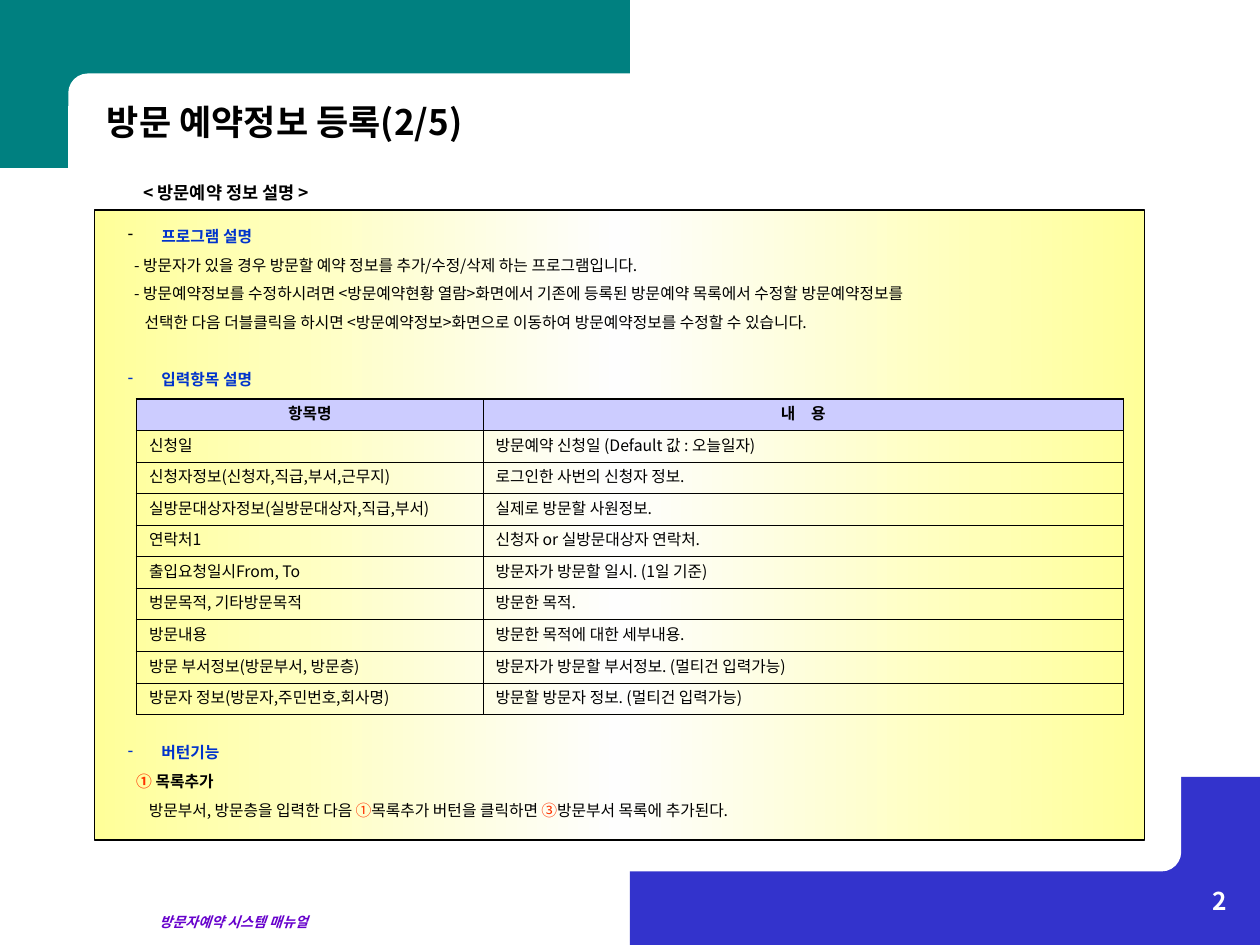
import copy
import pptx
import pptx.dml.color
import pptx.enum.shapes
import pptx.enum.text
import pptx.oxml
import pptx.oxml.ns
import pptx.util

COLOURS = {
    "teal": "008080", "indigo": "3333CC", "white": "FFFFFF", "black": "000000",
    "yellow": "FFFF99", "pale": "FEFEFE", "lavender": "CCCCFF",
    "blue": "0033CC", "red": "FF3300", "purple": "6600CC",
}
FONT = "Noto Sans CJK KR"
UNIT = pptx.util.Inches(1) / 12  # the slide is a grid of 120 columns by 90 rows
COLUMNS, ROWS = 120, 90
BODY_SIZE, LINE_FACTOR, SPACE_BEFORE = 9, 1.2, 5.6
LINE_ROWS = (BODY_SIZE * LINE_FACTOR + SPACE_BEFORE) / 6  # a grid row is 6 points
SHAPES = pptx.enum.shapes.MSO_SHAPE
ALIGN = pptx.enum.text.PP_ALIGN

# Each section: first text line, heading, bullet colour, then (indent, parts, bold);
# a part is a text and its colour.
SECTIONS = [
    (0, "프로그램 설명", "black", [
        (0.6, [("- 방문자가 있을 경우 방문할 예약 정보를 추가/수정/삭제 하는 프로그램입니다.", "black")], False),
        (0.6, [("- 방문예약정보를 수정하시려면 <방문예약현황 열람>화면에서 기존에 등록된 "
                "방문예약 목록에서 수정할 방문예약정보를", "black")], False),
        (1.6, [("선택한 다음 더블클릭을 하시면 <방문예약정보>화면으로 이동하여 "
                "방문예약정보를 수정할 수 있습니다.", "black")], False),
    ]),
    (5, "입력항목 설명", "blue", []),
    (18, "버턴기능", "blue", [
        (0.8, [("①", "red"), (" 목록추가", "black")], True),
        (2, [("방문부서, 방문층을 입력한 다음 ", "black"), ("①", "red"),
             ("목록추가 버턴을 클릭하면 ", "black"), ("③", "red"),
             ("방문부서 목록에 추가된다.", "black")], False),
    ]),
]
FIELDS = [
    ("항목명", "내　용"),
    ("신청일", "방문예약 신청일 (Default 값 : 오늘일자)"),
    ("신청자정보(신청자,직급,부서,근무지)", "로그인한 사번의 신청자 정보."),
    ("실방문대상자정보(실방문대상자,직급,부서)", "실제로 방문할 사원정보."),
    ("연락처1", "신청자 or 실방문대상자 연락처."),
    ("출입요청일시From, To", "방문자가 방문할 일시. (1일 기준)"),
    ("벙문목적, 기타방문목적", "방문한 목적."),
    ("방문내용", "방문한 목적에 대한 세부내용."),
    ("방문 부서정보(방문부서, 방문층)", "방문자가 방문할 부서정보. (멀티건 입력가능)"),
    ("방문자 정보(방문자,주민번호,회사명)", "방문할 방문자 정보. (멀티건 입력가능)"),
]


def grid(value):
    return pptx.util.Emu(round(value * UNIT))


def place(box):
    return [grid(value) for value in box]


def colour(name):
    return pptx.dml.color.RGBColor.from_string(COLOURS[name])


def add_element(parent, tag, **attributes):
    element = pptx.oxml.parse_xml(f"<a:{tag} {pptx.oxml.ns.nsdecls('a')}/>")
    for name, value in attributes.items():
        element.set(name, value)
    parent.append(element)
    return element


def style(paragraph, size, colour_name, bold=False, italic=False):
    font = paragraph.font
    font.size, font.bold, font.italic = pptx.util.Pt(size), bold, italic
    font.color.rgb = colour(colour_name)
    font.name = FONT
    add_element(font._element, "ea", typeface=FONT)
    paragraph.line_spacing = pptx.util.Pt(size * LINE_FACTOR)


def add_block(slide, box, colour_name, kind=SHAPES.RECTANGLE):
    shape = slide.shapes.add_shape(kind, *place(box))
    shape.shadow.inherit = False
    shape.fill.solid()
    shape.fill.fore_color.rgb = colour(colour_name)
    shape.line.fill.background()
    return shape


def add_text_frame(slide, box, wrap=True):
    frame = slide.shapes.add_textbox(*place(box)).text_frame
    frame.word_wrap = wrap
    return frame


def add_label(slide, box, text, size, colour_name, italic=False, align=None, wrap=True):
    paragraph = add_text_frame(slide, box, wrap).paragraphs[0]
    paragraph.text = text
    paragraph.alignment = align
    style(paragraph, size, colour_name, bold=True, italic=italic)


def add_frame(slide, box):
    """Two coloured corners, each cut by a white rounded block."""
    left, top, width, height = box
    half, band = width / 2, 16
    add_block(slide, (left + half, top + height - band, half, band), "indigo")
    add_block(slide, (left, top, half, band), "teal")
    for cut in ((left + 6.5, top + 7, 56.5, 11), (left + half - 3, top + height - 18, 55.5, 11)):
        add_block(slide, cut, "white", SHAPES.ROUNDED_RECTANGLE).adjustments[0] = 0.17


def add_section(slide, box, heading, bullet_colour, lines):
    frame = add_text_frame(slide, box)
    paragraph = frame.paragraphs[0]
    paragraph.text = heading
    style(paragraph, BODY_SIZE, "blue", bold=True)
    properties = paragraph._p.get_or_add_pPr()
    hang = grid(3.2)
    properties.set("marL", str(hang))
    properties.set("indent", str(-hang))
    default_font = paragraph.font._element
    bullet = add_element(properties, "buClr")
    add_element(bullet, "srgbClr", val=COLOURS[bullet_colour])
    add_element(properties, "buChar", char="-")
    properties.append(default_font)  # the schema puts bullets before the font
    for indent, parts, bold in lines:
        paragraph = frame.add_paragraph()
        paragraph.space_before = pptx.util.Pt(SPACE_BEFORE)
        style(paragraph, BODY_SIZE, "black", bold)
        paragraph._p.get_or_add_pPr().set("marL", str(grid(indent)))
        for text, colour_name in parts:
            run = paragraph.add_run()
            run.text = text
            if colour_name != "black":
                run.font.color.rgb = colour(colour_name)


def set_borders(cell, outer_sides):
    properties = cell._tc.get_or_add_tcPr()
    for index, side in enumerate(("lnL", "lnR", "lnT", "lnB")):
        width = pptx.util.Pt(1.08 if side in outer_sides else 0.45)
        line = add_element(properties, side, w=str(width))
        add_element(add_element(line, "solidFill"), "srgbClr", val=COLOURS["black"])
        properties.insert(index, line)  # borders come before the fill


def add_field_table(slide, box):
    last = len(FIELDS) - 1
    table = slide.shapes.add_table(len(FIELDS), 2, *place(box)).table
    table.first_row = table.horz_banding = False
    table.columns[0].width, table.columns[1].width = grid(33), grid(box[2] - 33)
    for row, texts in enumerate(FIELDS):
        table.rows[row].height = grid(box[3] / len(FIELDS))
        for column, text in enumerate(texts):
            cell = table.cell(row, column)
            cell.vertical_anchor = pptx.enum.text.MSO_ANCHOR.MIDDLE
            paragraph = cell.text_frame.paragraphs[0]
            paragraph.text = text
            style(paragraph, BODY_SIZE, "black", bold=row == 0)
            if row == 0:
                paragraph.alignment = ALIGN.CENTER
                cell.fill.solid()
                cell.fill.fore_color.rgb = colour("lavender")
            else:
                cell.fill.background()
            outer = {"lnR" if column else "lnL"}
            outer |= {"lnT"} if row == 0 else {"lnB"} if row == last else set()
            set_borders(cell, outer)


def add_panel(slide, box):
    """Bordered gradient panel holding the described sections and the field table."""
    left, top, width, height = box
    panel = add_block(slide, box, "yellow")
    panel.line.color.rgb = colour("black")
    panel.line.width = pptx.util.Pt(0.75)
    panel.fill.gradient()
    panel.fill.gradient_angle = 0
    first = panel.fill.gradient_stops[0]._gs
    first.addnext(copy.deepcopy(first))
    for stop, position, name in zip(panel.fill.gradient_stops, (0, 0.5, 1), ("yellow", "pale", "yellow")):
        stop.position = position
        stop.color.rgb = colour(name)
    for line, heading, bullet_colour, lines in SECTIONS:
        section_box = (left + 2, top + 1 + line * LINE_ROWS, width - 4, (len(lines) + 1) * LINE_ROWS)
        add_section(slide, section_box, heading, bullet_colour, lines)
    add_field_table(slide, (left + 4, top + 18, width - 6, height / 2))


def main():
    presentation = pptx.Presentation()
    presentation.slide_width, presentation.slide_height = grid(COLUMNS), grid(ROWS)
    slide = presentation.slides.add_slide(presentation.slide_layouts[6])
    add_frame(slide, (0, 0, COLUMNS, ROWS))
    add_label(slide, (14, 86.4, 27, 2.9), "방문자예약 시스템 매뉴얼", 8, "purple", italic=True)
    add_panel(slide, (9, 20, 100, 60))
    add_label(slide, (12.5, 16.7, 18.9, 3.2), "< 방문예약 정보 설명 >", 10, "black", wrap=False)
    add_label(slide, (9, 9, 51, 5.25), "방문 예약정보 등록(2/5)", 20, "black")
    add_label(slide, (93, 83.75, 25, 6), "2", 14, "white", align=ALIGN.RIGHT)
    presentation.save("out.pptx")


if __name__ == "__main__":
    main()
